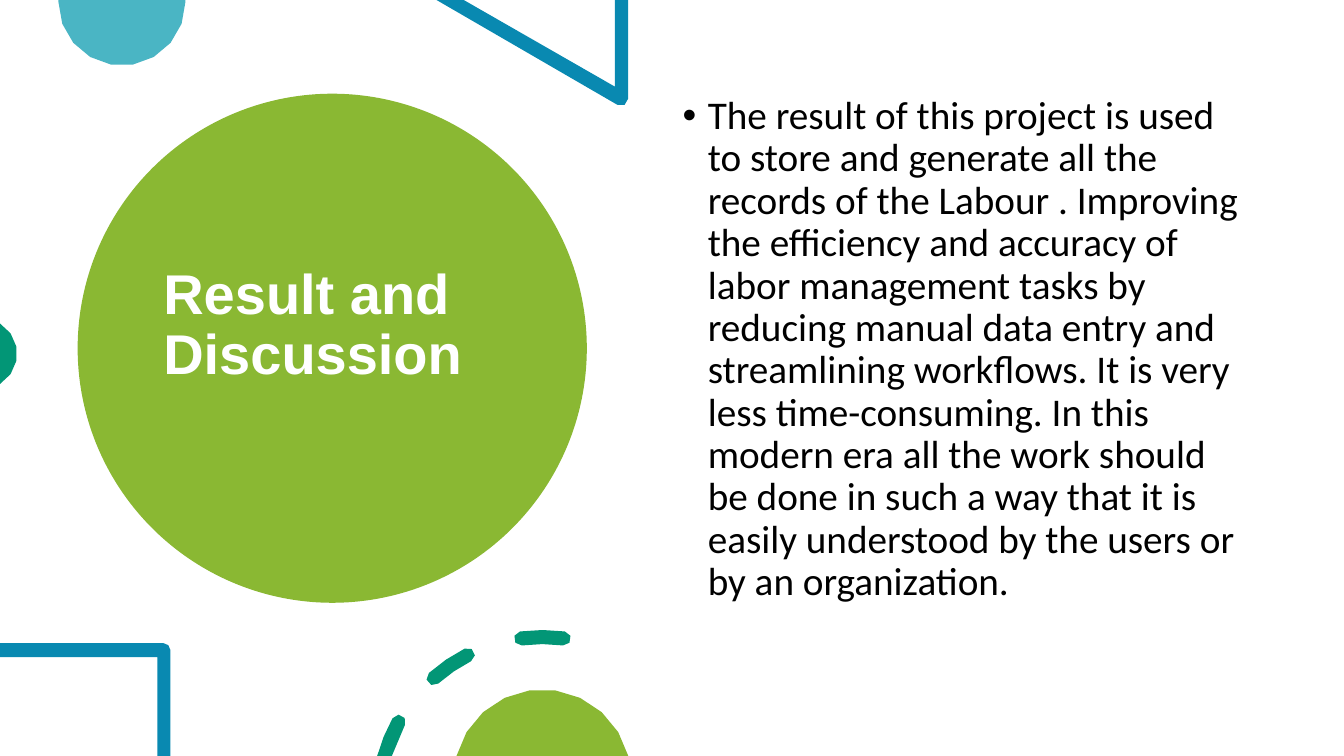
import math
from dataclasses import dataclass

import pptx
import pptx.dml.color
import pptx.enum.shapes
import pptx.enum.text
import pptx.slide
import pptx.util
from pptx.dml.color import RGBColor
from pptx.enum.shapes import MSO_SHAPE
from pptx.util import Inches

WHITE = RGBColor(0xFF, 0xFF, 0xFF)
BLACK = RGBColor(0x00, 0x00, 0x00)
LIME = RGBColor(0x8A, 0xB8, 0x33)
AQUA = RGBColor(0x4A, 0xB5, 0xC4)
BLUE = RGBColor(0x09, 0x89, 0xB1)
GREEN = RGBColor(0x02, 0x96, 0x76)

SLIDE_WIDTH, SLIDE_HEIGHT = 13.33, 7.5
STROKE_RADIUS = 0.07
RING_X, RING_Y, RING_RADIUS = 5.38, 7.95, 1.63
ARC_TOLERANCE = 0.01

Point = tuple[float, float]
Contour = list[Point]


@dataclass(frozen=True)
class Ornament:
    """A filled outline with one or more contours, in inches."""
    color: RGBColor
    contours: list[Contour]


def arc(x: float, y: float, radius: float, start: float, end: float) -> Contour:
    """Points along a circle; degrees run clockwise from the right."""
    widest_step = math.degrees(2 * math.acos(1 - ARC_TOLERANCE / radius))
    steps = math.ceil(abs(end - start) / widest_step)
    angles = [math.radians(start + (end - start) * i / steps) for i in range(steps + 1)]
    return [(x + radius * math.cos(a), y + radius * math.sin(a)) for a in angles]


def ring_arc(radius: float, start: float, end: float) -> Contour:
    return arc(RING_X, RING_Y, radius, start, end)


def round_cap(angle: float, turn: float) -> Contour:
    """Inner points of the half circle that closes a ring dash."""
    x = RING_X + RING_RADIUS * math.cos(math.radians(angle))
    y = RING_Y + RING_RADIUS * math.sin(math.radians(angle))
    return arc(x, y, STROKE_RADIUS, turn, turn + 180)[1:-1]


def ring_dash(start: float, end: float) -> Contour:
    return (ring_arc(RING_RADIUS + STROKE_RADIUS, start, end) + round_cap(end, end)
            + ring_arc(RING_RADIUS - STROKE_RADIUS, end, start)
            + round_cap(start, start + 180))


def cut_ring_dash(end: float) -> Contour:
    """Ring dash that runs off the bottom edge of the slide."""
    outer, inner = RING_RADIUS + STROKE_RADIUS, RING_RADIUS - STROKE_RADIUS
    outer_start, inner_start = (
        180 + math.degrees(math.asin((RING_Y - SLIDE_HEIGHT) / radius))
        for radius in (outer, inner))
    return (ring_arc(outer, outer_start, end) + round_cap(end, end)
            + ring_arc(inner, end, inner_start))


def paint(shape, color: RGBColor) -> None:
    shape.shadow.inherit = False
    shape.fill.solid()
    shape.fill.fore_color.rgb = color
    shape.line.fill.background()


def draw_preset(slide: pptx.slide.Slide, preset: MSO_SHAPE,
                box: tuple[float, ...], color: RGBColor) -> None:
    paint(slide.shapes.add_shape(preset, *map(Inches, box)), color)


def draw_ornament(slide: pptx.slide.Slide, ornament: Ornament) -> None:
    contours = [[(Inches(x), Inches(y)) for x, y in contour]
                for contour in ornament.contours]
    builder = slide.shapes.build_freeform(*contours[0][0])
    for index, contour in enumerate(contours):
        if index:
            builder.move_to(*contour[0])
        builder.add_line_segments(contour[1:], close=True)
    paint(builder.convert_to_shape(), ornament.color)


def write_placeholder(slide: pptx.slide.Slide, placeholder, box: tuple[float, ...],
                      text: str, font_name: str, size: int, color: RGBColor,
                      bold: bool, anchor: pptx.enum.text.MSO_ANCHOR):
    """Place a placeholder in front of the ornaments and fill in its text."""
    placeholder.left, placeholder.top, placeholder.width, placeholder.height = map(Inches, box)
    slide.shapes.element.append(placeholder.element)
    frame = placeholder.text_frame
    frame.word_wrap = True
    frame.auto_size = pptx.enum.text.MSO_AUTO_SIZE.NONE
    frame.vertical_anchor = anchor
    paragraph = frame.paragraphs[0]
    paragraph.alignment = pptx.enum.text.PP_ALIGN.LEFT
    paragraph.line_spacing = 0.9
    run = paragraph.add_run()
    run.text = text
    run.font.name = font_name
    run.font.size = pptx.util.Pt(size)
    run.font.color.rgb = color
    run.font.bold = bold
    return frame


ORNAMENTS = [
    # Half disc at the top
    Ornament(AQUA, [arc(1.21, 0.02, 0.63, 0, 180) + [(0.58, 0), (1.84, 0)]]),
    # Triangle corner
    Ornament(BLUE, [[(6.23, 0), (6.1, 0), (6.1, 0.86), (4.6, 0), (4.33, 0)]
                    + arc(6.16, 0.98, STROKE_RADIUS, 120, 0)]),
    # Disc on the left edge
    Ornament(GREEN, [arc(-0.18, 3.51, 0.35, -59, 59)]),
    # Square corner
    Ornament(BLUE, [[(0, 6.38), (0, 6.52), (1.56, 6.52), (1.56, 7.5), (1.69, 7.5)]
                    + arc(1.62, 6.45, STROKE_RADIUS, 0, -90)]),
    # Dashed ring with its disc
    Ornament(GREEN, [cut_ring_dash(209), ring_dash(228.5, 243), ring_dash(262.5, 277.5)]),
    Ornament(LIME, [arc(RING_X, 7.72, 0.88, 194.5, 345.5)]),
]

RESULT_TEXT = (
    "The result of this project is used to store and generate all the records of the "
    "Labour . Improving the efficiency and accuracy of labor management tasks by reducing "
    "manual data entry and streamlining workflows. It is very less time-consuming. In this "
    "modern era all the work should be done in such a way that it is easily understood by "
    "the users or by an organization. ")

presentation = pptx.Presentation()
presentation.slide_width = Inches(SLIDE_WIDTH)
presentation.slide_height = Inches(SLIDE_HEIGHT)
slide = presentation.slides.add_slide(presentation.slide_layouts[1])

# White ground, title disc and ornaments
draw_preset(slide, MSO_SHAPE.RECTANGLE, (0, 0, SLIDE_WIDTH, SLIDE_HEIGHT), WHITE)
draw_preset(slide, MSO_SHAPE.OVAL, (0.77, 0.93, 5.05, 5.05), LIME)
for ornament in ORNAMENTS:
    draw_ornament(slide, ornament)

# Title, raised above the middle of the disc
title_frame = write_placeholder(
    slide, slide.shapes.title, (1.52, 1.35, 3.54, 4.45), "Result and Discussion",
    "Arial", 40, WHITE, True, pptx.enum.text.MSO_ANCHOR.MIDDLE)
title_frame.margin_bottom = Inches(0.72)

# Result statement
result_frame = write_placeholder(
    slide, slide.placeholders[1], (6.67, 0.9, 5.75, 5.35), RESULT_TEXT,
    "Calibri", 28, BLACK, False, pptx.enum.text.MSO_ANCHOR.TOP)
result = result_frame.paragraphs[0]
result.space_before = pptx.util.Pt(10)
bullet_properties = result._p.get_or_add_pPr()
bullet_properties.set("marL", str(Inches(0.25)))
bullet_properties.set("indent", str(-Inches(0.25)))

presentation.save("out.pptx")
